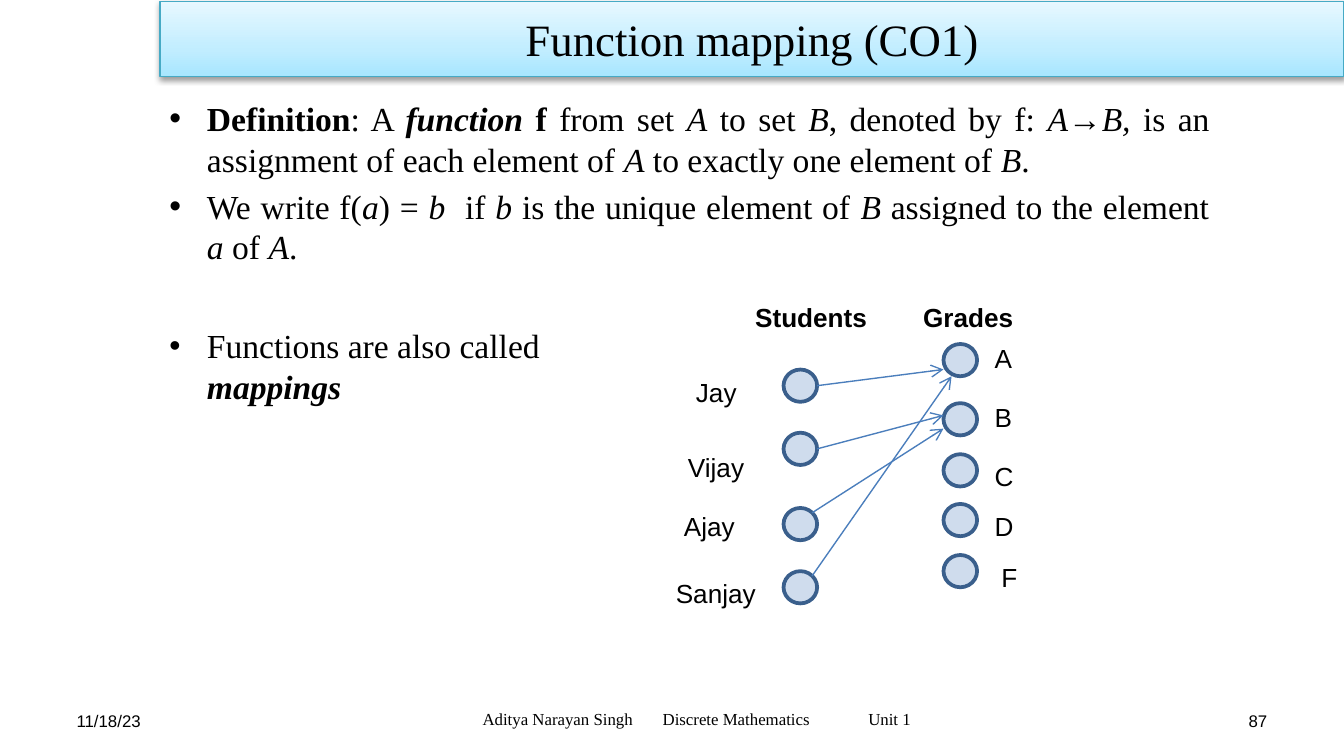
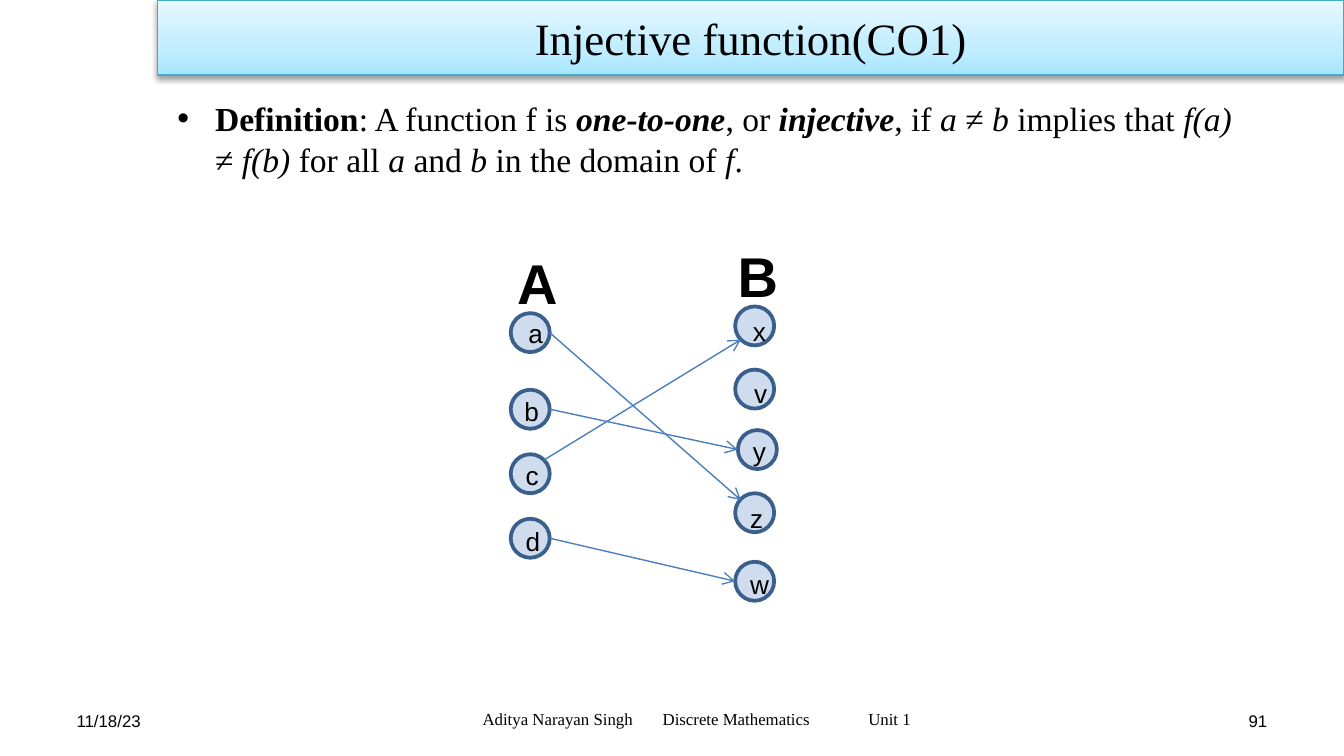
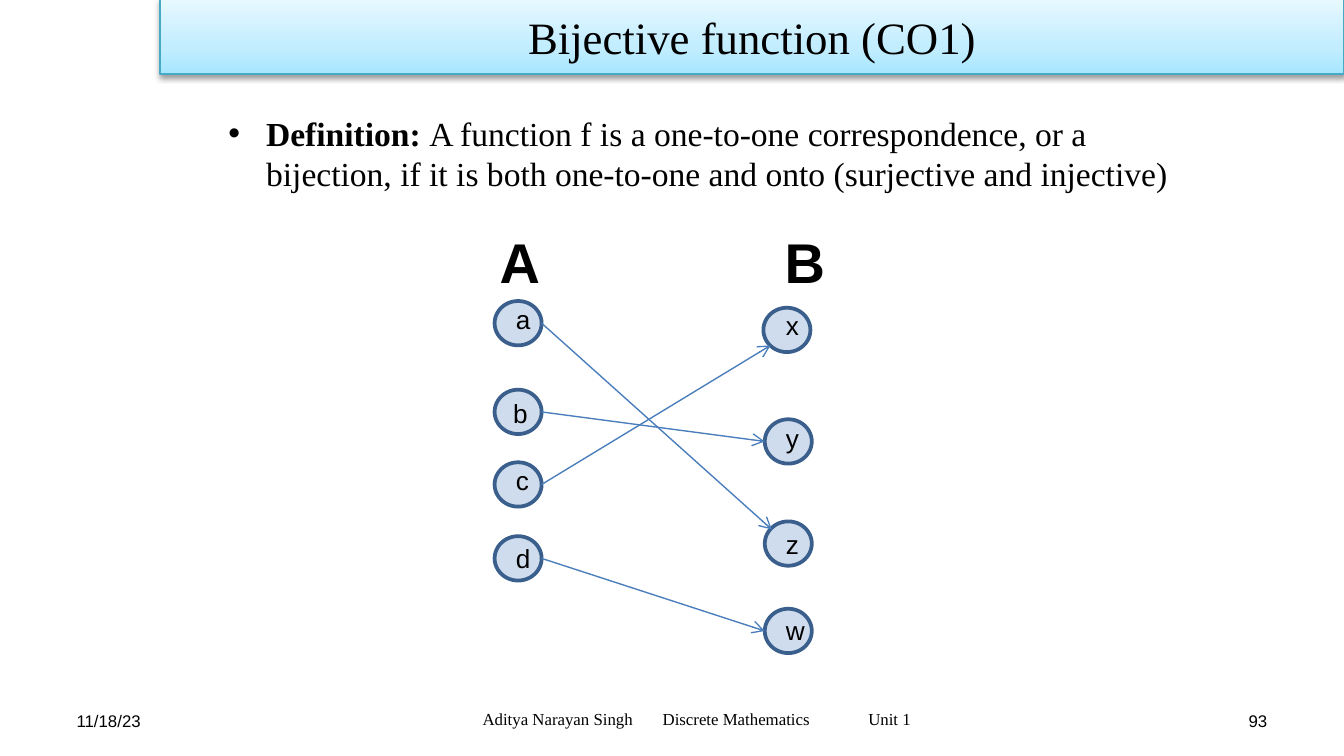
from lxml.etree import SubElement
from pptx import Presentation
from pptx.dml.color import RGBColor
from pptx.enum.shapes import MSO_CONNECTOR, MSO_SHAPE
from pptx.enum.text import MSO_ANCHOR, MSO_AUTO_SIZE, PP_ALIGN
from pptx.oxml import parse_xml
from pptx.oxml.ns import nsdecls, qn
from pptx.util import Inches, Pt

SERIF, SANS = "Times New Roman", "Arial"
BLACK, BLUE, RIM, ARROW, EDGE = "000000", "4F81BD", "3A5F8C", "4B7EBC", "46AAC5"
BAND = [(0, "A7E6FF"), (35, "C1EDFF"), (100, "E7F8FF")]
DATE = "11/18/23"
FOOTER = "Aditya Narayan Singh\tDiscrete Mathematics\tUnit 1"
TABS = [1.34, 2.87]
RIGHT, LEFT = (1, 0.5), (0, 0.5)
UP_RIGHT, UP_LEFT, LOW_LEFT = (0.85, 0.15), (0.15, 0.18), (0.15, 0.85)


def hue(code):
    """Turn a hex string into a colour."""
    return RGBColor.from_string(code)


def place(shape, box):
    """Move a shape to left, top, width and height in inches."""
    shape.left, shape.top, shape.width, shape.height = map(Inches, box)


def frame(shape, anchor=MSO_ANCHOR.TOP, side=0.07, edge=0.04):
    """Set wrapping, insets and anchor; return the text frame."""
    text = shape.text_frame
    text.word_wrap = True
    text.auto_size = MSO_AUTO_SIZE.NONE
    text.vertical_anchor = anchor
    text.margin_left = text.margin_right = Inches(side)
    text.margin_top = text.margin_bottom = Inches(edge)
    return text


def write(para, text, size, face, style=""):
    """Add one run; style may hold b for bold and i for italic."""
    run = para.add_run()
    run.text = text
    font = run.font
    font.size, font.name = Pt(size), face
    font.bold, font.italic = "b" in style, "i" in style
    font.color.rgb = hue(BLACK)


def title(slide, box, text):
    """Fill the title as a shaded band."""
    band = slide.shapes.title
    place(band, box)
    band.line.color.rgb = hue(EDGE)
    band.line.width = Pt(0.75)
    stops = "".join(
        f'<a:gs pos="{pos * 1000}"><a:srgbClr val="{code}"/></a:gs>' for pos, code in BAND)
    props = band.element.spPr
    props.find(qn("a:ln")).addprevious(parse_xml(
        f'<a:gradFill {nsdecls("a")} rotWithShape="1"><a:gsLst>{stops}</a:gsLst>'
        '<a:lin ang="16200000" scaled="0"/></a:gradFill>'))
    props.append(parse_xml(
        f'<a:effectLst {nsdecls("a")}><a:outerShdw blurRad="{Pt(3.1)}" dist="{Pt(1.6)}" '
        f'dir="5400000" rotWithShape="0"><a:srgbClr val="{BLACK}"><a:alpha val="38000"/>'
        '</a:srgbClr></a:outerShdw></a:effectLst>'))
    para = frame(band, MSO_ANCHOR.MIDDLE).paragraphs[0]
    para.alignment = PP_ALIGN.CENTER
    write(para, text, 24, SERIF)


def bullets(shape, box, items, align=PP_ALIGN.LEFT, scale=100):
    """Write bulleted paragraphs, each a list of text and style pairs."""
    place(shape, box)
    text = frame(shape)
    for num, runs in enumerate(items):
        para = text.add_paragraph() if num else text.paragraphs[0]
        para.alignment = align
        para.space_before = Pt(3.6)
        props = para._p.get_or_add_pPr()
        props.set("marL", str(Inches(0.28)))
        props.set("indent", str(Inches(-0.28)))
        SubElement(props, qn("a:buSzPct")).set("val", str(scale * 1000))
        SubElement(props, qn("a:buFont")).set("typeface", SANS)
        SubElement(props, qn("a:buChar")).set("char", "•")
        for part, style in runs:
            write(para, part, 18, SERIF, style)


def footer(slide, page):
    """Add the date, the course line and the page number."""
    for box, text, face, align in (
            ((0.5, 5.21, 2.33, 0.3), DATE, SANS, PP_ALIGN.LEFT),
            ((7.17, 5.21, 2.33, 0.3), page, SANS, PP_ALIGN.RIGHT),
            ((3.12, 5.2, 4.12, 0.3), FOOTER, SERIF, PP_ALIGN.LEFT)):
        body = frame(slide.shapes.add_textbox(*map(Inches, box)), MSO_ANCHOR.MIDDLE)
        para = body.paragraphs[0]
        para.alignment = align
        if text == FOOTER:
            body.margin_left = Inches(0.47)
            stops = SubElement(para._p.get_or_add_pPr(), qn("a:tabLst"))
            for pos in TABS:
                stop = SubElement(stops, qn("a:tab"))
                stop.set("pos", str(Inches(pos)))
                stop.set("algn", "l")
        write(para, text, 9, face)


def label(shapes, box, text, size, style=""):
    """Add a small text that fits its box."""
    body = frame(shapes.add_textbox(*map(Inches, box)), side=0.1, edge=0.05)
    body.auto_size = MSO_AUTO_SIZE.SHAPE_TO_FIT_TEXT
    write(body.paragraphs[0], text, size, SANS, style)


def circle(shapes, box):
    """Add one translucent node."""
    node = shapes.add_shape(MSO_SHAPE.FLOWCHART_CONNECTOR, *map(Inches, box))
    node.shadow.inherit = False
    node.fill.solid()
    node.fill.fore_color.rgb = hue(BLUE)
    tint = node.element.spPr.find(qn("a:solidFill")).find(qn("a:srgbClr"))
    SubElement(tint, qn("a:alpha")).set("val", "27000")
    node.line.color.rgb = hue(RIM)
    node.line.width = Pt(2)


def arrow(shapes, start, end):
    """Draw an open arrow between two points."""
    line = shapes.add_connector(MSO_CONNECTOR.STRAIGHT, *map(Inches, start + end))
    line.line.color.rgb = hue(ARROW)
    line.line.width = Pt(0.75)
    props = line.element.spPr
    SubElement(props.find(qn("a:ln")), qn("a:tailEnd")).set("type", "arrow")
    SubElement(props, qn("a:effectLst"))


def mapping(slide, spot, size, heads, nodes, links):
    """Draw two sets of nodes with labels and arrows from a corner spot."""
    left, top = spot
    wide, high = size
    shapes = slide.shapes.add_group_shape().shapes
    spots = {}
    for name, x, y, *_ in nodes:
        spots[name] = left + x, top + y
        circle(shapes, (left + x, top + y, wide, high))
    for name, _, _, x, y, width in nodes:
        label(shapes, (left + x, top + y, width, 0.34), name, 14)
    for name, x, y, width, points, tall in heads:
        label(shapes, (left + x, top + y, width, tall), name, points, "b")

    def site(name, part):
        """Find a point on a node by its share of width and height."""
        x, y = spots[name]
        return x + part[0] * wide, y + part[1] * high

    for start, out, end, into in links:
        arrow(shapes, site(start, out), site(end, into))


def base(deck, band, name, page, box, items, align=PP_ALIGN.LEFT):
    """Add a slide with its title, list and footer."""
    slide = deck.slides.add_slide(deck.slide_layouts[1])
    title(slide, band, name)
    bullets(slide.placeholders[1], box, items, align)
    footer(slide, page)
    return slide


def general(deck):
    """Build the slide on function mapping."""
    items = [
        [("Definition", "b"), (": A ", ""), ("function ", "bi"), ("f ", "b"),
         ("from set ", ""), ("A", "i"), (" to set ", ""), ("B", "i"),
         (", denoted by f: ", ""), ("A", "i"), ("→", ""), ("B, ", "i"),
         ("is an assignment of each element of ", ""), ("A", "i"),
         (" to exactly one element of ", ""), ("B", "i"), (".", "")],
        [("We write f(", ""), ("a", "i"), (") = ", ""), ("b ", "i"), (" if ", ""),
         ("b", "i"), (" is the unique element of ", ""), ("B", "i"),
         (" assigned to the element ", ""), ("a", "i"), (" of ", ""), ("A", "i"), (".", "")]]
    slide = base(deck, (1.19, 0.01, 8.81, 0.56), "Function mapping (CO1)", "87",
                 (1.19, 0.69, 7.88, 3.87), items, PP_ALIGN.JUSTIFY)
    mapping(
        slide, (4.93, 2.19), (0.25, 0.24),
        [("Students", 0.59, 0, 1.31, 14, 0.34), ("Grades", 1.84, 0, 0.88, 14, 0.34)],
        [("Jay", 0.9, 0.56, 0.15, 0.56, 0.53), ("Vijay", 0.9, 1.03, 0.09, 1.12, 0.66),
         ("Ajay", 0.9, 1.59, 0.06, 1.56, 0.64), ("Sanjay", 0.9, 2.06, 0, 2.06, 0.82),
         ("A", 2.09, 0.37, 2.4, 0.31, 0.17), ("B", 2.09, 0.81, 2.4, 0.75, 0.17),
         ("C", 2.09, 1.19, 2.4, 1.19, 0.17), ("D", 2.09, 1.56, 2.4, 1.56, 0.17),
         ("F", 2.09, 1.94, 2.43, 1.94, 0.19)],
        [("Jay", RIGHT, "A", (0, 0.79)), ("Vijay", RIGHT, "B", (0, 0.38)),
         ("Ajay", UP_RIGHT, "B", (0, 0.79)), ("Sanjay", UP_RIGHT, "A", (0.24, 1))])
    note = slide.shapes.add_textbox(0, 0, 0, 0)
    bullets(note, (1.19, 2.38, 3.31, 0.68),
            [[("Functions are also called ", ""), ("mappings", "bi")]], scale=95)


def letters(slide, spot, size, heads, width, nodes):
    """Draw the mapping of a, b, c, d onto lettered nodes."""
    mapping(slide, spot, size,
            [(*head, 30, 0.61) for head in heads],
            [(*node, width) for node in nodes],
            [("a", RIGHT, "z", UP_LEFT), ("b", RIGHT, "y", LEFT),
             ("c", UP_RIGHT if size[0] < 0.3 else RIGHT, "x", LOW_LEFT),
             ("d", RIGHT, "w", LEFT)])


def inject(deck):
    """Build the slide on injective functions."""
    items = [[
        ("Definition", "b"), (": A function f is ", ""), ("one-to-one", "bi"), (", or ", ""),
        ("injective", "bi"), (", if ", ""), ("a ", "i"), ("≠ ", ""), ("b ", "i"),
        ("implies that ", ""), ("f(a) ", "i"), ("≠ ", ""), ("f(b)", "i"), (" for all ", ""),
        ("a", "i"), (" and ", ""), ("b", "i"), (" in the domain of ", ""), ("f", "i"),
        (".", "")]]
    slide = base(deck, (1.17, 0, 8.83, 0.56), "Injective function(CO1)", "91",
                 (1.25, 0.69, 8.17, 3.85), items)
    letters(slide, (3.75, 1.75), (0.29, 0.29),
            [("A", 0, 0.05, 0.43), ("B", 1.64, 0, 0.43)], 0.19,
            [("a", 0.05, 0.58, 0.09, 0.56), ("b", 0.05, 1.15, 0.06, 1.14),
             ("c", 0.05, 1.63, 0.07, 1.62), ("d", 0.05, 2.11, 0.07, 2.11),
             ("x", 1.72, 0.53, 1.76, 0.55), ("v", 1.72, 1, 1.77, 1.01),
             ("y", 1.74, 1.45, 1.76, 1.44), ("z", 1.72, 1.92, 1.74, 1.94),
             ("w", 1.72, 2.43, 1.74, 2.43)])


def biject(deck):
    """Build the slide on bijective functions."""
    items = [[
        ("Definition: ", "b"),
        ("A function f is a one-to-one correspondence, or a bijection, if it is both "
         "one-to-one and onto (surjective and injective)", "")]]
    slide = base(deck, (1.19, -0.01, 8.81, 0.56), "Bijective function (CO1)", "93",
                 (1.63, 0.8, 7.31, 3.94), items)
    letters(slide, (3.62, 1.64), (0.35, 0.33),
            [("A", 0, 0, 0.53), ("B", 2.12, 0, 0.53)], 0.24,
            [("a", 0.06, 0.6, 0.12, 0.57), ("b", 0.06, 1.26, 0.1, 1.27),
             ("c", 0.06, 1.8, 0.12, 1.77), ("d", 0.06, 2.35, 0.12, 2.35),
             ("x", 2.06, 0.65, 2.13, 0.61), ("y", 2.07, 1.48, 2.13, 1.45),
             ("z", 2.07, 2.24, 2.13, 2.24), ("w", 2.07, 2.89, 2.13, 2.88)])


def main():
    """Build and save the deck."""
    deck = Presentation()
    deck.slide_width = Inches(10)
    deck.slide_height = Inches(10 * 9 / 16)
    for build in (general, inject, biject):
        build(deck)
    deck.save("out.pptx")


if __name__ == "__main__":
    main()
